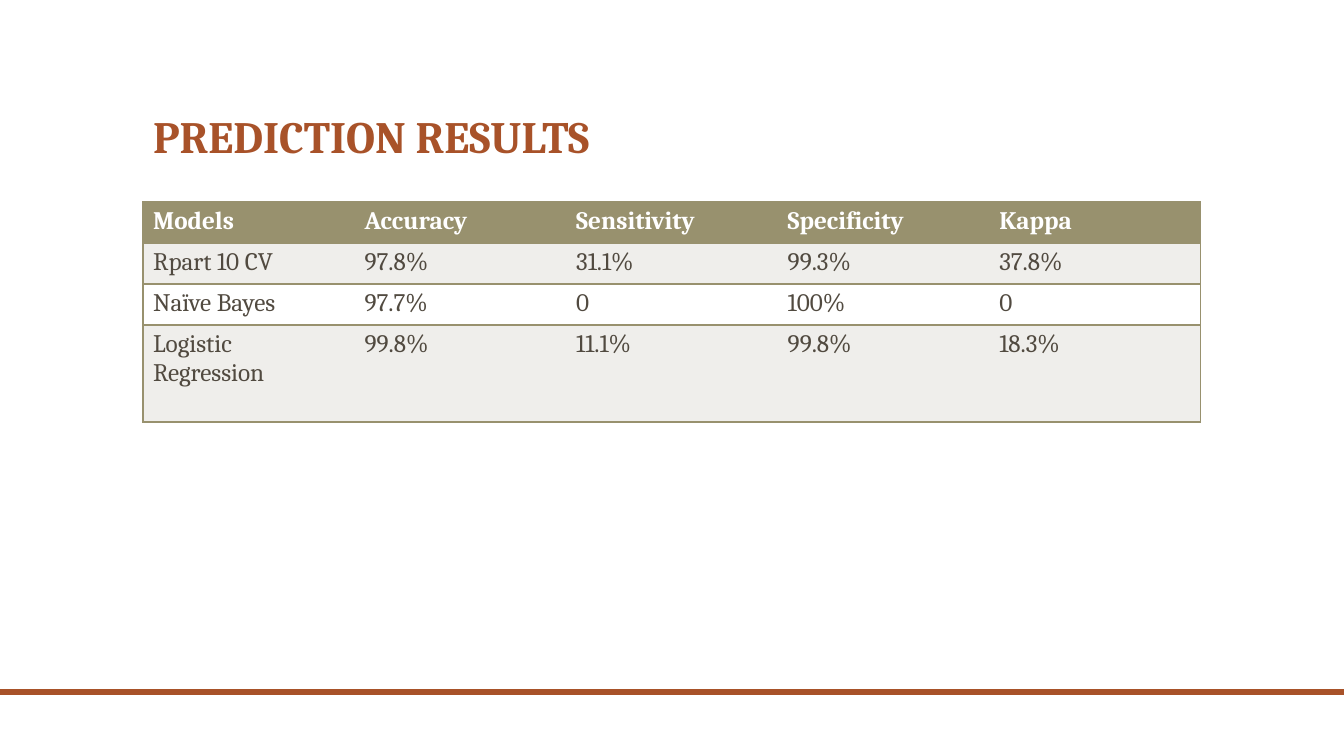
from lxml.etree import SubElement
from pptx import Presentation
from pptx.dml.color import RGBColor
from pptx.enum.shapes import MSO_SHAPE as Shape
from pptx.enum.text import MSO_ANCHOR as Anchor, PP_ALIGN as Align
from pptx.oxml.ns import qn
from pptx.util import Pt

PX = 914400 / 100.8  # EMU in one px

THEME = {
    "font": "Cambria",
    "accent": "A85229",
    "header": "98916E",
    "band": "EFEEEB",
    "white": "FFFFFF",
    "ink": "514A40",
    "title_size": 32,
    "cell_size": 18,
}

ROWS = [
    ("Models", "Accuracy", "Sensitivity", "Specificity", "Kappa"),
    ("Rpart 10 CV", "97.8%", "31.1%", "99.3%", "37.8%"),
    ("Naïve Bayes", "97.7%", "0", "100%", "0"),
    ("Logistic Regression", "99.8%", "11.1%", "99.8%", "18.3%"),
]
ROW_HEIGHTS = [41, 41, 41, 97]
LEFT, WIDTH = 143, 1058


def emu(*px):
    return [round(v * PX) for v in px]


def write(tf, text, size, color, bold=False, spacing=1.0):
    p = tf.paragraphs[0]
    p.alignment = Align.LEFT
    p.line_spacing = spacing
    r = p.add_run()
    r.text = text
    r.font.name = THEME["font"]
    r.font.size = Pt(size)
    r.font.bold = bold
    r.font.color.rgb = RGBColor.from_string(color)


prs = Presentation()
prs.slide_width, prs.slide_height = emu(1344, 756)
s = prs.slides.add_slide(prs.slide_layouts[5])

# Footer rule
rule = s.shapes.add_shape(Shape.RECTANGLE, *emu(0, 689, 1344, 6))
rule.shadow.inherit = False
rule.fill.solid()
rule.fill.fore_color.rgb = RGBColor.from_string(THEME["accent"])
rule.line.fill.background()

# Title
title = s.shapes.title
title.left, title.top, title.width, title.height = emu(LEFT, 42, WIDTH, 126)
title.text_frame.vertical_anchor = Anchor.BOTTOM
write(title.text_frame, "PREDICTION RESULTS", THEME["title_size"],
      THEME["accent"], bold=True, spacing=0.9)

# Results table
n_cols = len(ROWS[0])
frame = s.shapes.add_table(len(ROWS), n_cols,
                           *emu(LEFT, 202, WIDTH, sum(ROW_HEIGHTS)))
table = frame.table
for row, height in zip(table.rows, ROW_HEIGHTS):
    row.height = emu(height)[0]

for i, values in enumerate(ROWS):
    if i == 0:
        fill, color = THEME["header"], THEME["white"]
    else:
        fill, color = THEME["band" if i % 2 else "white"], THEME["ink"]
    for j, value in enumerate(values):
        cell = table.cell(i, j)
        tc_pr = cell._tc.get_or_add_tcPr()
        # Horizontal lines everywhere, vertical ones only on the outside
        edges = {"L": j == 0, "R": j == n_cols - 1, "T": True, "B": True}
        for side, visible in edges.items():
            ln = SubElement(tc_pr, qn(f"a:ln{side}"), w=str(Pt(1)))
            if visible:
                solid = SubElement(ln, qn("a:solidFill"))
                SubElement(solid, qn("a:srgbClr"), val=THEME["header"])
            else:
                SubElement(ln, qn("a:noFill"))
        cell.fill.solid()
        cell.fill.fore_color.rgb = RGBColor.from_string(fill)
        write(cell.text_frame, value, THEME["cell_size"], color, bold=i == 0)

prs.save("out.pptx")
